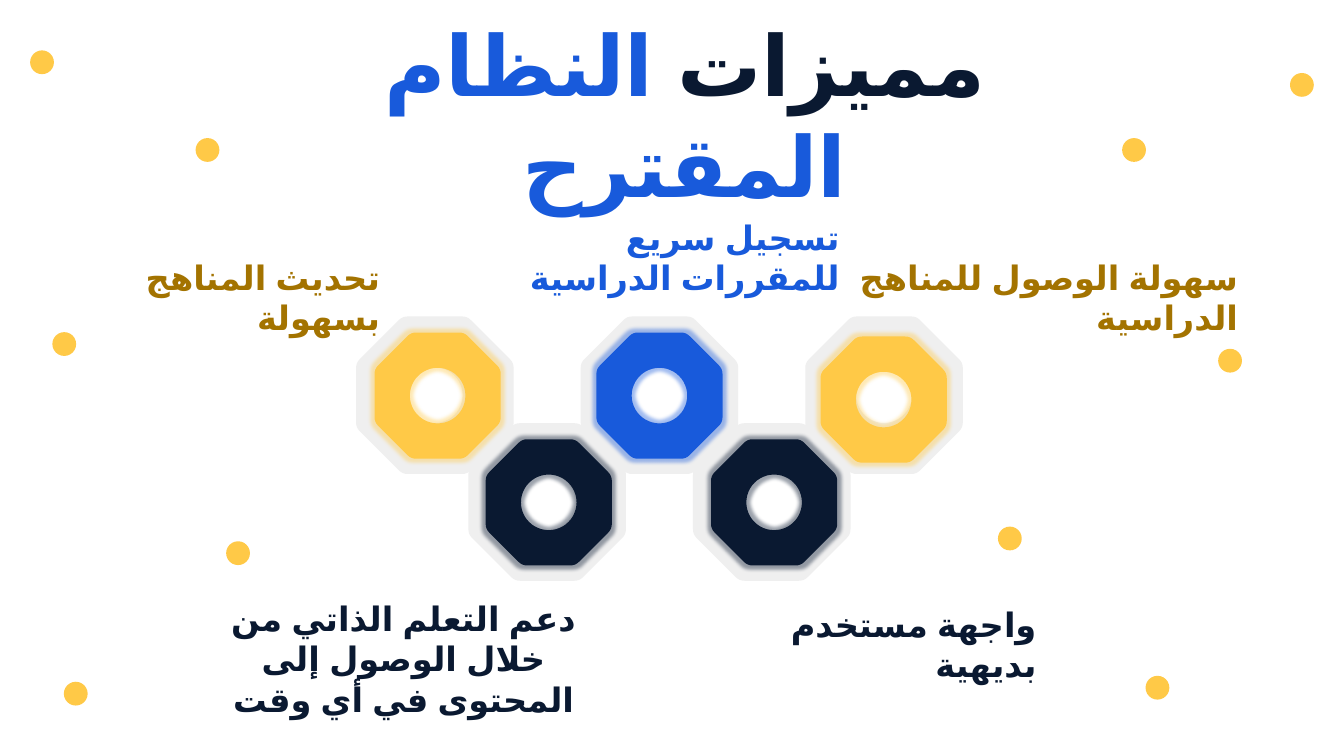
import math

from lxml import etree
from pptx import Presentation
from pptx import util as u
from pptx.dml.color import RGBColor
from pptx.enum import lang, shapes, text
from pptx.oxml.ns import qn

# Content; all lengths in centimetres
FONT = "Calibri"
COLORS = {"yellow": "FFC947", "blue": "185ADB", "navy": "0A1931",
          "gold": "A37300", "grey": "EFEFEF"}
RIGHT, CENTER = text.PP_ALIGN.RIGHT, text.PP_ALIGN.CENTER

# left, top, width, height, size, alignment, runs
TEXTS = [
    (21.39, 6.35, 10.06, 1.27, 24, RIGHT,
     [("سهولة الوصول للمناهج الدراسية", "gold")]),
    (11.4, 5.33, 10.01, 1.27, 24, RIGHT,
     [("تسجيل سريع للمقررات الدراسية", "blue")]),
    (2.31, 6.35, 7.52, 1.27, 24, RIGHT,
     [("تحديث المناهج بسهولة", "gold")]),
    (9.04, 0.2, 16.43, 2.82, 60, CENTER,
     [("مميزات ", "navy"), ("النظام المقترح", "blue")]),
    (19.13, 15.09, 7.24, 1.27, 24, RIGHT,
     [("واجهة مستخدم بديهية", "navy")]),
    (4.9, 14.94, 10.54, 2.31, 24, CENTER,
     [("دعم التعلم الذاتي من خلال الوصول إلى المحتوى في أي وقت", "navy")]),
]
# Centres of the coloured octagons, left to right
FEATURES = [(11.03, 9.97, "yellow"), (13.83, 12.66, "navy"),
            (16.62, 9.97, "blue"), (19.51, 12.66, "navy"),
            (22.27, 10.07, "yellow")]
DOTS = [(1.91, 17.48), (28.58, 3.78), (5.23, 3.78), (29.17, 17.33),
        (31, 9.09), (6, 13.94), (1.62, 8.67), (25.45, 13.57),
        (32.81, 2.14), (1.06, 1.57)]
DOT_SIZE = 0.6
FRAME_LEFT, FRAME_STEP, FRAME_ROWS = 10.96, 2.83, (9.96, 12.65)
HOLE_RADIUS, ROUNDING = 0.7, 0.13

deck = Presentation()
deck.slide_width, deck.slide_height = u.Cm(33.87), u.Cm(19.05)
page = deck.slides.add_slide(deck.slide_layouts[6])


def paint(shape, color):
    shape.fill.solid()
    shape.fill.fore_color.rgb = RGBColor.from_string(COLORS[color])
    shape.line.fill.background()
    shape.shadow.inherit = False


def toward(start, end, distance):
    share = distance / math.dist(start, end)
    return tuple(a + (b - a) * share for a, b in zip(start, end))


def rounded_octagon(x, y, size, cut):
    half = size / 2
    near = half - cut
    corners = [(x + a, y + b) for a, b in (
        (-near, -half), (near, -half), (half, -near), (half, near),
        (near, half), (-near, half), (-half, near), (-half, -near))]
    outline = []
    for i, corner in enumerate(corners):
        start = toward(corner, corners[i - 1], ROUNDING)
        end = toward(corner, corners[(i + 1) % 8], ROUNDING)
        for t in (0, 0.25, 0.5, 0.75, 1):
            outline.append(tuple((1 - t) ** 2 * a + 2 * t * (1 - t) * b + t * t * c
                                 for a, b, c in zip(start, corner, end)))
    return outline


def add_ring(x, y, size, cut, color):
    outline = rounded_octagon(x, y, size, cut)
    angles = [-math.tau * i / 48 for i in range(48)]
    hole = [(x + HOLE_RADIUS * math.cos(a), y + HOLE_RADIUS * math.sin(a))
            for a in angles]
    outline, hole = [[(u.Cm(a), u.Cm(b)) for a, b in points]
                     for points in (outline, hole)]
    builder = page.shapes.build_freeform(*outline[0], scale=1.0)
    builder.add_line_segments(outline[1:], close=True)
    builder.move_to(*hole[0])
    builder.add_line_segments(hole[1:], close=True)
    ring = builder.convert_to_shape()
    paint(ring, color)
    return ring


def add_glow(shape, color):
    effects = shape.element.spPr.find(qn("a:effectLst"))
    glow = etree.SubElement(effects, qn("a:glow"), rad=str(u.Pt(5)))
    tint = etree.SubElement(glow, qn("a:srgbClr"), val=COLORS[color])
    etree.SubElement(tint, qn("a:alpha"), val="40000")


# Scattered dots
for x, y in DOTS:
    dot = page.shapes.add_shape(
        shapes.MSO_SHAPE.OVAL, u.Cm(x - DOT_SIZE / 2), u.Cm(y - DOT_SIZE / 2),
        u.Cm(DOT_SIZE), u.Cm(DOT_SIZE))
    paint(dot, "yellow")

# Grey frames in a zigzag, then the coloured octagons
for i in range(len(FEATURES)):
    add_ring(FRAME_LEFT + FRAME_STEP * i, FRAME_ROWS[i % 2], 3.97, 1.17, "grey")
for x, y, color in FEATURES:
    add_glow(add_ring(x, y, 3.18, 0.92, color), color)

# Title and labels
for left, top, width, height, size, align, runs in TEXTS:
    box = page.shapes.add_textbox(u.Cm(left), u.Cm(top), u.Cm(width), u.Cm(height))
    box.text_frame.word_wrap = True
    para = box.text_frame.paragraphs[0]
    para.alignment = align
    para._p.get_or_add_pPr().set("rtl", "1")
    for words, color in runs:
        span = para.add_run()
        span.text = words
        span.font.name, span.font.size, span.font.bold = FONT, u.Pt(size), True
        span.font.color.rgb = RGBColor.from_string(COLORS[color])
        span.font.language_id = lang.MSO_LANGUAGE_ID.ARABIC

deck.save("out.pptx")
